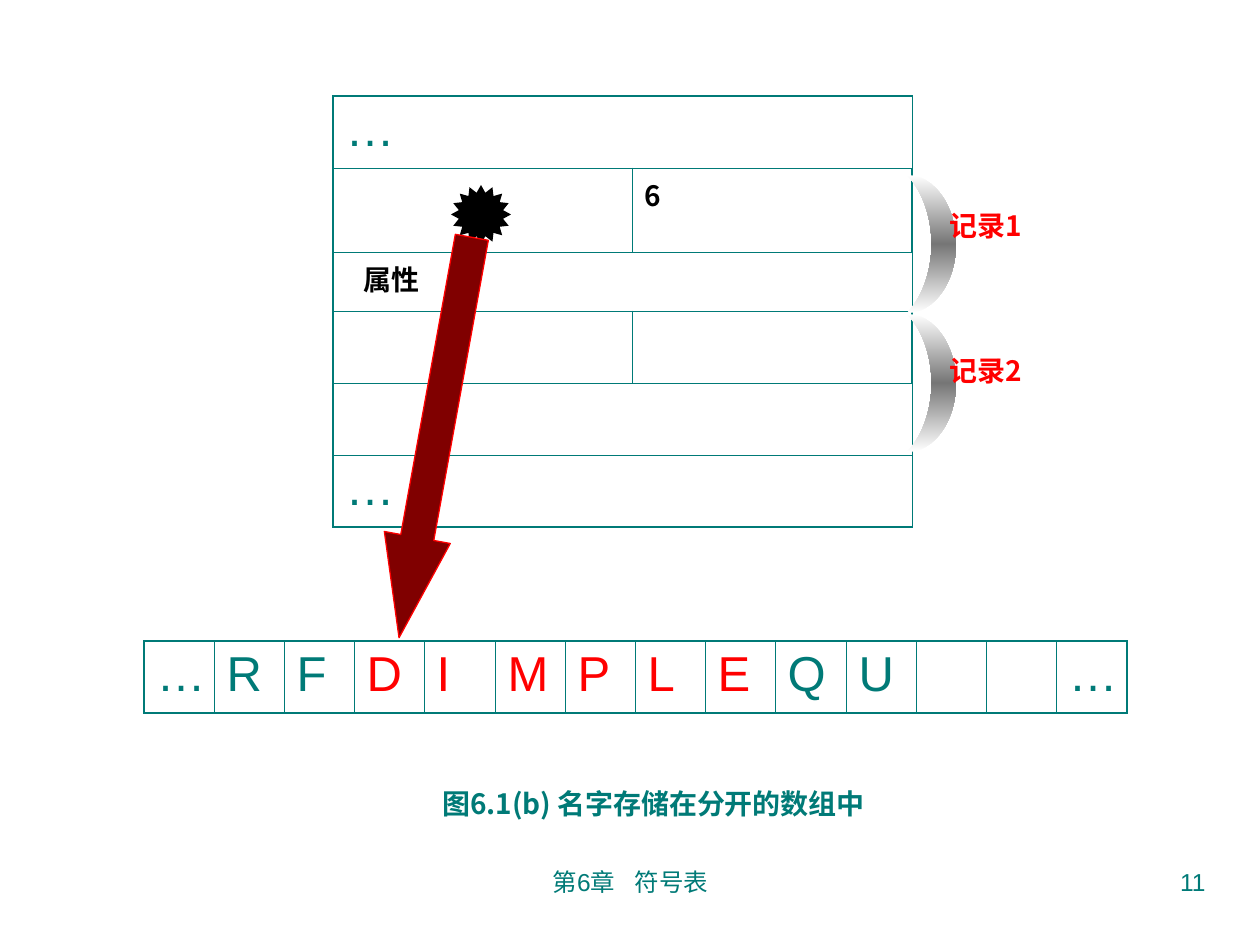
from copy import deepcopy
from lxml import etree
from pptx import Presentation
from pptx import util as u
from pptx.dml.color import RGBColor
from pptx.enum import shapes, text
from pptx.oxml.ns import qn

TEAL = RGBColor(0x00, 0x7A, 0x77)
RED = RGBColor(0xFF, 0x00, 0x00)
MAROON = RGBColor(0x80, 0x00, 0x00)
BLACK = RGBColor(0x00, 0x00, 0x00)
WHITE = RGBColor(0xFF, 0xFF, 0xFF)
GRAY = RGBColor(0x76, 0x76, 0x76)
LATIN, HAN = "Arial", "Noto Sans CJK SC"
THICK, THIN = 1.08, 0.45
KIND = shapes.MSO_SHAPE
ALIGN = text.PP_ALIGN


def px(n):
    return u.Emu(round(n * 914400 / 126))


class Page:
    """Draws styled elements on one slide, with lengths in px."""

    def __init__(self, deck):
        self.slide = deck.slides.add_slide(deck.slide_layouts[6])
        self.items = self.slide.shapes

    def run(self, para, words, size, color, font=LATIN, bold=False, gap=0):
        run = para.add_run()
        run.text = words
        face = run.font
        face.size, face.name, face.bold = u.Pt(size), font, bold
        face.color.rgb = color
        props = run._r.get_or_add_rPr()
        etree.SubElement(props, qn("a:ea")).set("typeface", HAN)
        if gap:
            props.set("spc", str(gap))

    def label(self, box, paras, align=ALIGN.LEFT, space=0):
        frame = self.items.add_textbox(*map(px, box)).text_frame
        frame.word_wrap = True
        for i, runs in enumerate(paras):
            para = frame.add_paragraph() if i else frame.paragraphs[0]
            para.alignment = align
            if i:
                para.space_before = u.Pt(space)
            for args in runs:
                self.run(para, *args)

    def border(self, cell, sides):
        props = cell._tc.get_or_add_tcPr()
        for side, width in zip("LRTB", sides):
            line = etree.SubElement(props, qn("a:ln" + side))
            line.set("w", str(int(u.Pt(width))))
            fill = etree.SubElement(line, qn("a:solidFill"))
            etree.SubElement(fill, qn("a:srgbClr")).set("val", str(TEAL))
        cell.fill.background()

    def table(self, left, top, cols, rows):
        box = map(px, (left, top, sum(cols), sum(rows)))
        grid = self.items.add_table(len(rows), len(cols), *box).table
        grid.first_row = grid.horz_banding = False
        for col, wide in zip(grid.columns, cols):
            col.width = px(wide)
        for row, high in zip(grid.rows, rows):
            row.height = px(high)
        for r in range(len(rows)):
            for c in range(len(cols)):
                edges = (c == 0, c == len(cols) - 1, r == 0, r == len(rows) - 1)
                self.border(grid.cell(r, c), [THICK if e else THIN for e in edges])
        return grid

    def entry(self, cell, *args):
        self.run(cell.text_frame.paragraphs[0], *args)

    def shape(self, kind, box, fill=None, line=None, turn=0):
        item = self.items.add_shape(kind, *map(px, box))
        item.shadow.inherit = False
        item.rotation = turn
        if fill is not None:
            item.fill.solid()
            item.fill.fore_color.rgb = fill
        if line is None:
            item.line.fill.background()
        else:
            item.line.color.rgb = line
            item.line.width = u.Pt(0.75)
        return item

    def brace(self, top):
        item = self.shape(KIND.MOON, (907, top, 49, 138), turn=180)
        item.fill.gradient()
        item.fill.gradient_angle = 90
        stops = item._element.spPr.find(".//" + qn("a:gsLst"))
        mid = deepcopy(stops[0])
        mid.set("pos", "50000")
        stops.insert(1, mid)
        for stop, color in zip(item.fill.gradient_stops, (WHITE, GRAY, WHITE)):
            stop.color.rgb = color


def main():
    deck = Presentation()
    deck.slide_width, deck.slide_height = px(1260), px(945)
    page = Page(deck)

    page.label((431, 861, 399, 66), [[("第6章", 14, TEAL),
                                      (" ", 14, TEAL, LATIN, False, 780),
                                      ("符号表", 14, TEAL)]], ALIGN.CENTER)
    page.label((903, 861, 315, 66), [[("11", 14, TEAL)]], ALIGN.RIGHT)

    records = page.table(333, 96, [299, 280], [72, 84, 59, 72, 72, 72])
    for row in (0, 2, 4, 5):
        records.cell(row, 0).merge(records.cell(row, 1))
    for row in (0, 5):
        page.entry(records.cell(row, 0), "…", 28, TEAL)
    page.entry(records.cell(1, 1), "6", 16, BLACK, HAN, True)
    field = records.cell(2, 0)
    field.margin_left = px(31)
    page.entry(field, "属性", 16, BLACK, HAN, True)

    page.shape(KIND.STAR_16_POINT, (451, 185, 60, 59), BLACK)

    names = ["…", *"RFDIMPLEQU", "", "", "…"]
    marks = [983 * i // len(names) for i in range(len(names) + 1)]
    cols = [b - a for a, b in zip(marks, marks[1:])]
    array = page.table(144, 641, cols, [72])
    for i, name in enumerate(names):
        if name:
            page.entry(array.cell(0, i), name, 28, RED if 3 <= i <= 8 else TEAL)

    arrow = page.shape(KIND.DOWN_ARROW, (402, 234, 67, 407), MAROON, RED, 10.3)
    arrow.adjustments[0], arrow.adjustments[1] = 0.5, 1.52

    page.label((282, 780, 743, 47),
               [[("图6.1(b) 名字存储在分开的数组中", 16, TEAL, HAN, True)]], ALIGN.CENTER)
    for top in (175, 314):
        page.brace(top)
    page.label((937, 202, 110, 207),
               [[(name, 16, RED, HAN, True)] for name in ("记录1", "记录2")], space=64)

    deck.save("out.pptx")


if __name__ == "__main__":
    main()
